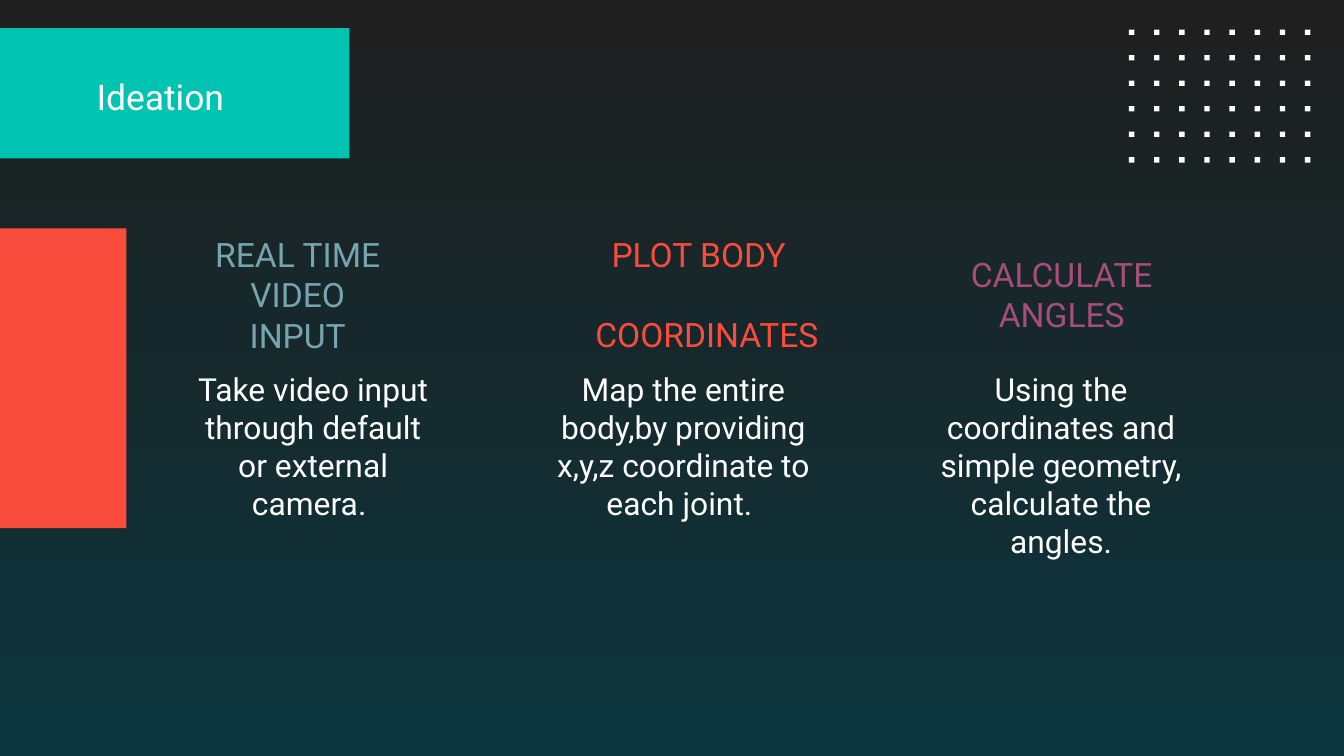
import pptx
import pptx.dml.color
import pptx.enum.shapes
import pptx.enum.text
import pptx.util

Inches = pptx.util.Inches
Pt = pptx.util.Pt
ALIGN = pptx.enum.text.PP_ALIGN
ANCHOR = pptx.enum.text.MSO_ANCHOR

COLORS = {
    "top": "1F1F1F", "bottom": "0C343D", "white": "FFFFFF", "red": "F94C3C",
    "teal": "00C3B1", "steel": "76A5AF", "plum": "A64D79",
}


def add_rect(x, y, w, h, color):
    sp = s.shapes.add_shape(pptx.enum.shapes.MSO_SHAPE.RECTANGLE,
                            Inches(x), Inches(y), Inches(w), Inches(h))
    sp.shadow.inherit = False
    sp.fill.solid()
    sp.fill.fore_color.rgb = pptx.dml.color.RGBColor.from_string(COLORS[color])
    sp.line.fill.background()


def add_text(box, lines, size, color, align, anchor, inset):
    """Add a text box with one paragraph per line and return its paragraphs."""
    tf = s.shapes.add_textbox(*map(Inches, box)).text_frame
    frame_format = {"word_wrap": True, "vertical_anchor": anchor}
    for side in ("left", "top", "right", "bottom"):
        frame_format["margin_" + side] = Inches(inset)
    for name, value in frame_format.items():
        setattr(tf, name, value)
    tf.text = "\n".join(lines)
    for p in tf.paragraphs:
        p.alignment = align
        for name, value in {"name": "Roboto", "size": Pt(size)}.items():
            setattr(p.runs[0].font, name, value)
        p.runs[0].font.color.rgb = pptx.dml.color.RGBColor.from_string(COLORS[color])
    return tf.paragraphs


prs = pptx.Presentation()
prs.slide_width = Inches(10)
prs.slide_height = prs.slide_width * 9 // 16
s = prs.slides.add_slide(prs.slide_layouts[6])

# Background, dark at the top
fill = s.background.fill
fill.gradient()
fill.gradient_angle = 270
for stop, name in zip(fill.gradient_stops, ("top", "bottom")):
    stop.color.rgb = pptx.dml.color.RGBColor.from_string(COLORS[name])

# Dot grid
for row in range(6):
    for col in range(8):
        add_rect(8.4 + 1.31 * col / 7, 0.22 + 0.19 * row, 0.04, 0.04, "white")

add_rect(0, 1.7, 0.94, 2.23, "red")

# Steps: heading left, width, lines, colour, alignment; body left, width, text
steps = [
    (1.57, 1.29, ["REAL TIME VIDEO INPUT"], "steel", ALIGN.CENTER,
     1.34, 1.98, "Take video input through default or external camera. "),
    (4.43, 2.15, ["PLOT BODY", "COORDINATES"], "red", ALIGN.LEFT,
     4.01, 2.15, "Map the entire body,by providing x,y,z coordinate to each joint. "),
    (7.06, 1.68, ["CALCULATE ANGLES"], "plum", ALIGN.CENTER,
     6.82, 2.15, "Using the coordinates and simple geometry, calculate the angles."),
]
for head_x, head_w, head, color, align, body_x, body_w, body in steps:
    paragraphs = add_text((head_x, 1.97, head_w, 0.44), head, 18, color,
                          align, ANCHOR.MIDDLE, 0)
    if len(paragraphs) > 1:
        paragraphs[0]._p.get_or_add_pPr().set("marL", str(Inches(0.12)))
        paragraphs[1].space_before = Pt(21.5)
    add_text((body_x, 2.65, body_w, 1.59), [body], 17, "white",
             ALIGN.CENTER, ANCHOR.TOP, 0.1)

# Title
add_rect(-0.01, 0.21, 2.61, 0.97, "teal")
add_text((0.62, 0.42, 3.72, 0.6), ["Ideation"], 19, "white",
         ALIGN.LEFT, ANCHOR.MIDDLE, 0.1)

prs.save("out.pptx")
